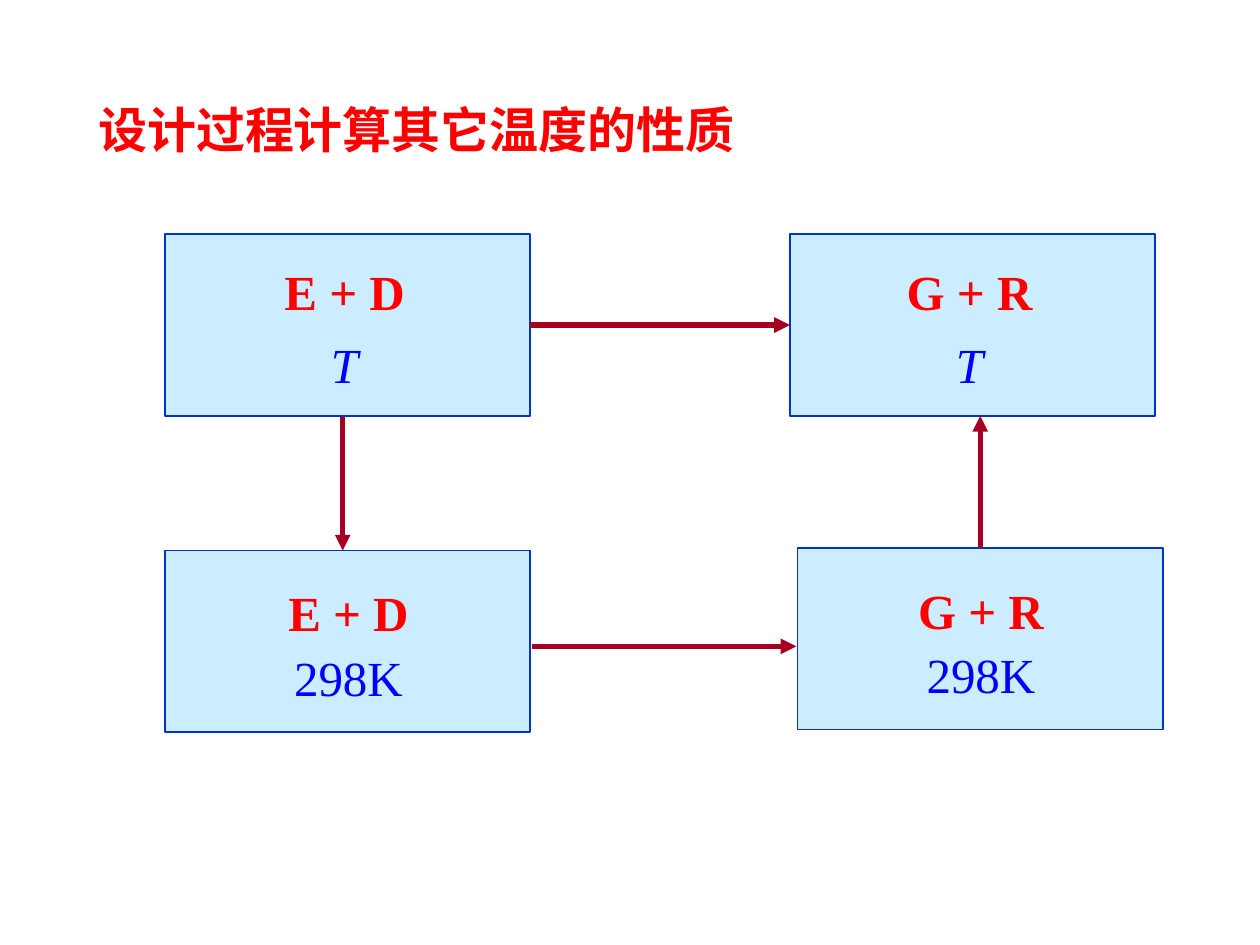
from lxml.etree import SubElement
from pptx import Presentation
from pptx.dml.color import RGBColor
from pptx.enum.shapes import MSO_CONNECTOR, MSO_SHAPE
from pptx.enum.text import MSO_ANCHOR, PP_ALIGN
from pptx.oxml.ns import qn
from pptx.util import Inches, Pt

COLUMNS, ROWS = 100, 75
BOX_WIDTH, BOX_HEIGHT = 29, 14.4
RED, BLUE, DARK_RED = "FF0000", "0000FF", "A50021"
LATIN_FONT, CHINESE_FONT = "Times New Roman", "Noto Sans CJK SC"

deck = Presentation()
deck.slide_width, deck.slide_height = Inches(10), Inches(7.5)


def grid(*lengths):
    """Turn alternating columns and rows into slide lengths."""
    units = (deck.slide_width / COLUMNS, deck.slide_height / ROWS)
    return [round(length * units[index % 2]) for index, length in enumerate(lengths)]


def colour(value):
    return RGBColor.from_string(value)


def add_span(para, text, font_name, hex_colour, bold=False, italic=False):
    span = para.add_run()
    span.text = text
    font = span.font
    font.name, font.size, font.bold, font.italic = font_name, Pt(28), bold, italic
    font.color.rgb = colour(hex_colour)
    return span


def add_title(page, text, area):
    title = page.shapes.title
    title.left, title.top, title.width, title.height = grid(*area)
    frame = title.text_frame
    frame.word_wrap = True
    frame.vertical_anchor = MSO_ANCHOR.TOP
    para = frame.paragraphs[0]
    para.alignment = PP_ALIGN.LEFT
    span = add_span(para, text, CHINESE_FONT, RED, bold=True)
    SubElement(span.font._element, qn("a:ea"), typeface=CHINESE_FONT)


def add_state(page, left, top, species, temperature, text_area, italic=False, gap=0):
    """Group a filled box with its label, whose area is relative to the box."""
    group = page.shapes.add_group_shape()
    box = group.shapes.add_shape(
        MSO_SHAPE.RECTANGLE, *grid(left, top, BOX_WIDTH, BOX_HEIGHT))
    box.shadow.inherit = False
    box.fill.solid()
    box.fill.fore_color.rgb = colour("CCECFF")
    box.line.color.rgb = colour("0033CC")
    box.line.width = Pt(1)

    shift_x, shift_y, width, height = text_area
    label = group.shapes.add_textbox(*grid(left + shift_x, top + shift_y, width, height))
    frame = label.text_frame
    frame.word_wrap = True
    frame.margin_bottom = Inches(0.13)
    first, second = frame.paragraphs[0], frame.add_paragraph()
    for para in (first, second):
        para.alignment = PP_ALIGN.CENTER
        para.line_spacing = 1.1
    second.space_before = Pt(gap)
    add_span(first, species, LATIN_FONT, RED, bold=True)
    add_span(second, temperature, LATIN_FONT, BLUE, italic=italic)
    return box


def add_arrow(page, start, end):
    arrow = page.shapes.add_connector(MSO_CONNECTOR.STRAIGHT, *grid(*start, *end))
    arrow.line.color.rgb = colour(DARK_RED)
    arrow.line.width = Pt(3)
    SubElement(arrow.line._get_or_add_ln(), qn("a:tailEnd"), type="triangle")
    SubElement(arrow._element.spPr, qn("a:effectLst"))
    return arrow


def add_cycle(page):
    """Place the four states and the arrows between them."""
    upper = {"temperature": "T", "italic": True, "gap": 5,
             "text_area": (1.5, 1.2, 25.5, 12.8)}
    lower = {"temperature": "298K", "text_area": (1.8, 1.6, 25.5, 11.8)}
    left, right = 13.1, 62.7
    reactants = add_state(page, left, 18.6, "E + D", **upper)
    products = add_state(page, right, 18.6, "G + R", **upper)
    add_state(page, left, 43.7, "E + D", **lower)
    cool_products = add_state(page, right + 0.6, 43.5, "G + R", **lower)

    across = add_arrow(page, (42.2, 25.8), (62.7, 25.8))
    across.begin_connect(reactants, 3)
    across.end_connect(products, 1)
    add_arrow(page, (27.2, 33.1), (27.2, 43.7))
    add_arrow(page, (42.2, 51.3), (63.2, 51.3))
    upward = add_arrow(page, (77.8, 43.5), (77.8, 33))
    upward.begin_connect(cool_products, 0)


def main():
    page = deck.slides.add_slide(deck.slide_layouts[5])
    add_title(page, "设计过程计算其它温度的性质", (6.8, 7.4, 88.9, 5.7))
    add_cycle(page)
    deck.save("out.pptx")


if __name__ == "__main__":
    main()
